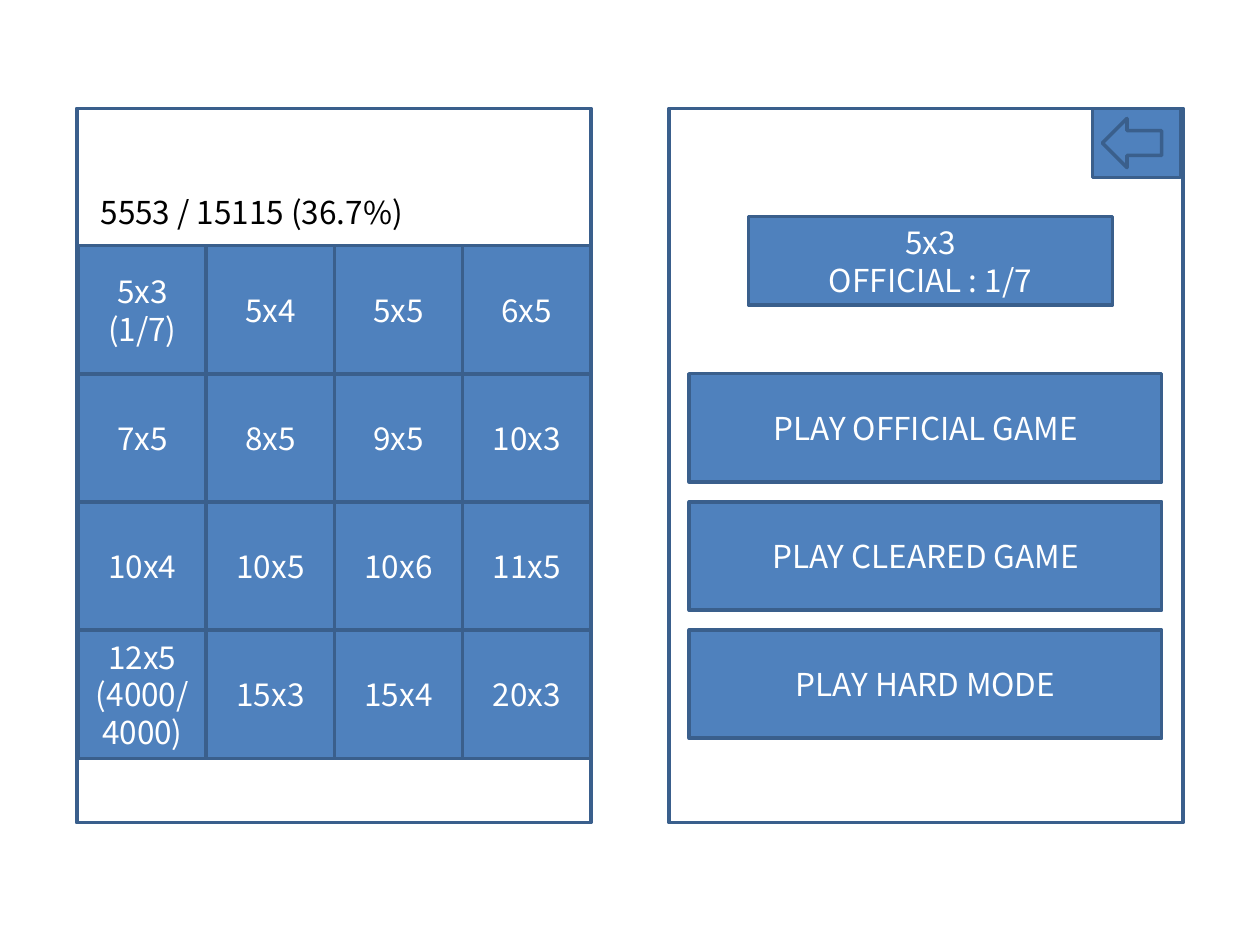
from pptx import Presentation
from pptx.dml.color import RGBColor
from pptx.enum.shapes import MSO_SHAPE as Shape
from pptx.enum.text import MSO_ANCHOR as Anchor, PP_ALIGN as Align
from pptx.util import Inches, Pt

BLUE = RGBColor(0x4F, 0x81, 0xBD)
NAVY = RGBColor(0x3A, 0x5F, 0x8C)
WHITE = RGBColor(0xFF, 0xFF, 0xFF)
BLACK = RGBColor(0x00, 0x00, 0x00)

PANEL_TOP, PANEL_WIDTH, PANEL_HEIGHT = 0.86, 4.08, 5.67
GRID_LEFT, GRID_TOP = 0.62, 1.95
CELL = 1.02
PITCH = 3.05 / 3

BOARD_SIZES = [
    ["5x3\n(1/7)", "5x4", "5x5", "6x5"],
    ["7x5", "8x5", "9x5", "10x3"],
    ["10x4", "10x5", "10x6", "11x5"],
    ["12x5\n(4000/4000)", "15x3", "15x4", "20x3"],
]
MODES = ["PLAY OFFICIAL GAME", "PLAY CLEARED GAME", "PLAY HARD MODE"]


class Mockup:
    """Holds the style and the current slide of the game screens."""

    font_name = "Noto Sans CJK KR"
    font_size = Pt(18)
    line_width = Pt(2)

    def __init__(self, page):
        """Start drawing on the given slide."""
        self.page = page

    def set_text(self, box, text, color, align):
        """Fill a box with one paragraph for each line of text."""
        frame = box.text_frame
        frame.text = text
        for para in frame.paragraphs:
            para.alignment = align
            para.font.name = self.font_name
            para.font.size = self.font_size
            para.font.color.rgb = color

    def shape(self, left, top, width, height, kind=Shape.RECTANGLE,
              fill=BLUE, parent=None):
        """Add an outlined shape to the slide or to a group."""
        shapes = (parent or self.page).shapes
        box = shapes.add_shape(kind, Inches(left), Inches(top),
                               Inches(width), Inches(height))
        box.shadow.inherit = False
        box.line.color.rgb = NAVY
        box.line.width = self.line_width
        if fill is None:
            box.fill.background()
        else:
            box.fill.solid()
            box.fill.fore_color.rgb = fill
        return box

    def panel(self, left):
        """Add the empty outline of a phone screen."""
        self.shape(left, PANEL_TOP, PANEL_WIDTH, PANEL_HEIGHT, fill=None)

    def button(self, text, left, top, width, height):
        """Add a filled rectangle with centred white text."""
        box = self.shape(left, top, width, height)
        box.text_frame.word_wrap = True
        box.text_frame.vertical_anchor = Anchor.MIDDLE
        self.set_text(box, text, WHITE, Align.CENTER)

    def label(self, text, left, top, width, height):
        """Add a line of plain black text."""
        box = self.page.shapes.add_textbox(Inches(left), Inches(top),
                                           Inches(width), Inches(height))
        box.text_frame.word_wrap = False
        self.set_text(box, text, BLACK, Align.LEFT)

    def back_button(self, left, top):
        """Add a grouped button holding a left arrow."""
        group = self.page.shapes.add_group_shape()
        self.shape(left, top, 0.7, 0.55, parent=group)
        self.shape(left + 0.08, top + 0.08, 0.47, 0.39,
                   kind=Shape.LEFT_ARROW, parent=group)


def draw_size_screen(mockup):
    """Draw the screen where a board size is chosen."""
    mockup.panel(0.61)
    for row, sizes in enumerate(BOARD_SIZES):
        for column, size in enumerate(sizes):
            mockup.button(size, GRID_LEFT + column * PITCH,
                          GRID_TOP + row * PITCH, CELL, CELL)
    mockup.label("5553 / 15115 (36.7%)", 0.7, 1.48, 2.65, 0.4)


def draw_mode_screen(mockup):
    """Draw the screen where a game mode is chosen."""
    mockup.panel(5.31)
    mockup.back_button(8.67, PANEL_TOP)
    mockup.button("5x3\nOFFICIAL : 1/7", 5.94, 1.72, 2.89, 0.7)
    for row, mode in enumerate(MODES, start=1):
        mockup.button(mode, 5.47, GRID_TOP + row * PITCH, 3.75, 0.86)


def main():
    """Build the slide and save it."""
    deck = Presentation()
    deck.slide_width, deck.slide_height = Inches(10), Inches(7.5)
    mockup = Mockup(deck.slides.add_slide(deck.slide_layouts[6]))
    draw_size_screen(mockup)
    draw_mode_screen(mockup)
    deck.save("out.pptx")


main()
